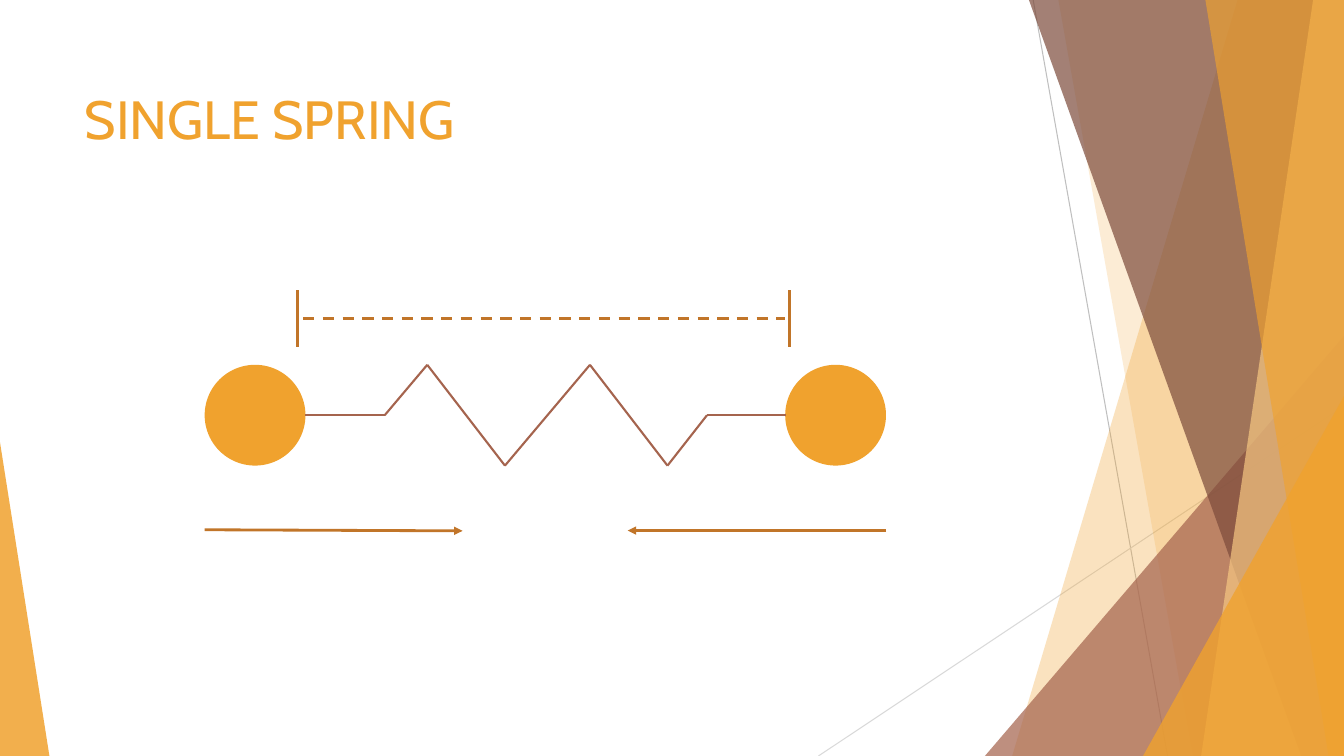
import itertools
from dataclasses import dataclass

import pptx
import pptx.dml.color
import pptx.enum.dml
import pptx.enum.shapes
import pptx.enum.text
import pptx.oxml
import pptx.oxml.ns
import pptx.util

Pt = pptx.util.Pt
SHAPE = pptx.enum.shapes.MSO_SHAPE


@dataclass(frozen=True)
class Theme:
    amber: str = "F0A22E"
    pale_amber: str = "F6C782"
    rust: str = "A5644E"
    brown: str = "7C4B3B"
    bronze: str = "C17529"
    grey: str = "BFBFBF"
    light_grey: str = "D9D9D9"
    font: str = "Cabin"
    title_size: float = 48


@dataclass(frozen=True)
class Line:
    x1: float
    y1: float
    x2: float
    y2: float
    color: str
    width: float
    dashed: bool = False
    arrow: bool = False


@dataclass(frozen=True)
class Ribbon:
    """Band from two points on the top and bottom edges to the right edge."""
    top_x: float
    bottom_x: float
    color: str
    opacity: int


@dataclass(frozen=True)
class Wedge:
    """Right triangle standing on the bottom edge."""
    left: float
    top: float
    width: float
    apex: float
    color: str
    opacity: int


THEME = Theme()
WIDTH, HEIGHT = 960, 540


def child(parent, tag: str, **attrs: str):
    el = pptx.oxml.parse_xml(f"<a:{tag} {pptx.oxml.ns.nsdecls('a')}/>")
    for name, value in attrs.items():
        el.set(name, value)
    parent.append(el)
    return el


def paint(s, color: str, opacity: int = 100) -> None:
    s.shadow.inherit = False
    s.fill.solid()
    s.fill.fore_color.rgb = pptx.dml.color.RGBColor.from_string(color)
    s.line.fill.background()
    if opacity < 100:
        clr = s.fill._xPr.find(".//" + pptx.oxml.ns.qn("a:srgbClr"))
        child(clr, "alpha", val=str(opacity * 1000))


def draw_line(shapes, line: Line) -> None:
    s = shapes.add_connector(pptx.enum.shapes.MSO_CONNECTOR.STRAIGHT,
                             Pt(line.x1), Pt(line.y1), Pt(line.x2), Pt(line.y2))
    s.line.color.rgb = pptx.dml.color.RGBColor.from_string(line.color)
    s.line.width = Pt(line.width)
    if line.dashed:
        s.line.dash_style = pptx.enum.dml.MSO_LINE.DASH
    if line.arrow:
        child(s.line._get_or_add_ln(), "tailEnd", type="triangle")
    child(s._element.spPr, "effectLst")


def draw_ribbon(shapes, ribbon: Ribbon) -> None:
    builder = shapes.build_freeform(Pt(ribbon.top_x), 0, scale=1.0)
    builder.add_line_segments([(Pt(WIDTH), 0), (Pt(WIDTH), Pt(HEIGHT)),
                               (Pt(ribbon.bottom_x), Pt(HEIGHT))], close=True)
    paint(builder.convert_to_shape(), ribbon.color, ribbon.opacity)


def draw_wedge(shapes, wedge: Wedge) -> None:
    s = shapes.add_shape(SHAPE.ISOSCELES_TRIANGLE, Pt(wedge.left), Pt(wedge.top),
                         Pt(wedge.width), Pt(HEIGHT - wedge.top))
    s.adjustments[0] = wedge.apex
    paint(s, wedge.color, wedge.opacity)


def draw_title(s, text: str) -> None:
    s.left, s.top, s.width, s.height = Pt(53.3), Pt(48), Pt(676.8), Pt(104)
    tf = s.text_frame
    tf.word_wrap = True
    tf.auto_size = pptx.enum.text.MSO_AUTO_SIZE.NONE
    tf.vertical_anchor = pptx.enum.text.MSO_ANCHOR.TOP
    p = tf.paragraphs[0]
    p.alignment = pptx.enum.text.PP_ALIGN.LEFT
    r = p.add_run()
    r.text = text
    p.font.name = THEME.font
    p.font.size = Pt(THEME.title_size)
    p.font.color.rgb = pptx.dml.color.RGBColor.from_string(THEME.amber)
    r.font._element.set("cap", "small")


# Background facets, back to front
BACK_LINES = [
    Line(738, 0, 834, 540, THEME.grey, 0.75),
    Line(960, 290, 584.6, 540, THEME.light_grey, 0.75),
]
FACETS = [
    Ribbon(884, 723, THEME.amber, 30),
    Ribbon(756, 852, THEME.amber, 20),
    Wedge(703.5, 240, 256.5, 1, THEME.rust, 72),
    Ribbon(735, 929.5, THEME.brown, 70),
    Ribbon(938, 858, THEME.pale_amber, 70),
    Ribbon(861, 949, THEME.amber, 65),
    Wedge(816.5, 283, 143.5, 1, THEME.amber, 80),
    Wedge(0, 316, 35.3, 0, THEME.amber, 85),
]

# Spring and its two masses
MASS = 72
MASS_TOP = 260.6
MASS_LEFTS = (146.2, 560.9)
MIDDLE, BOTTOM = MASS_TOP + MASS / 2, MASS_TOP + MASS
SPRING = [(218.2, MIDDLE), (274.8, MIDDLE), (305.2, MASS_TOP), (360.7, BOTTOM),
          (421.4, MASS_TOP), (476.8, BOTTOM), (505, MIDDLE), (561.6, MIDDLE)]

# Length marker and force arrows
TICKS = (564, 212.4)
MARKS = [
    Line(146.2, 378.4, 330.4, 379.2, THEME.bronze, 2, arrow=True),
    Line(632.9, 379, 448.4, 379, THEME.bronze, 2, arrow=True),
    Line(216.5, 227.5, 560.5, 227.5, THEME.bronze, 2, dashed=True),
    *(Line(x, 207.2, x, 247.9, THEME.bronze, 2) for x in TICKS),
]


def main() -> None:
    prs = pptx.Presentation()
    prs.slide_width, prs.slide_height = Pt(WIDTH), Pt(HEIGHT)
    slide = prs.slides.add_slide(prs.slide_layouts.get_by_name("Title Only"))
    shapes = slide.shapes
    draw_title(shapes.title, "single spring")

    for line in BACK_LINES:
        draw_line(shapes, line)
    for facet in FACETS:
        if isinstance(facet, Ribbon):
            draw_ribbon(shapes, facet)
        else:
            draw_wedge(shapes, facet)

    for left in MASS_LEFTS:
        paint(shapes.add_shape(SHAPE.OVAL, Pt(left), Pt(MASS_TOP), Pt(MASS), Pt(MASS)),
              THEME.amber)
    for start, end in itertools.pairwise(SPRING):
        draw_line(shapes, Line(*start, *end, THEME.rust, 1.5))
    for mark in MARKS:
        draw_line(shapes, mark)

    prs.save("out.pptx")


if __name__ == "__main__":
    main()
